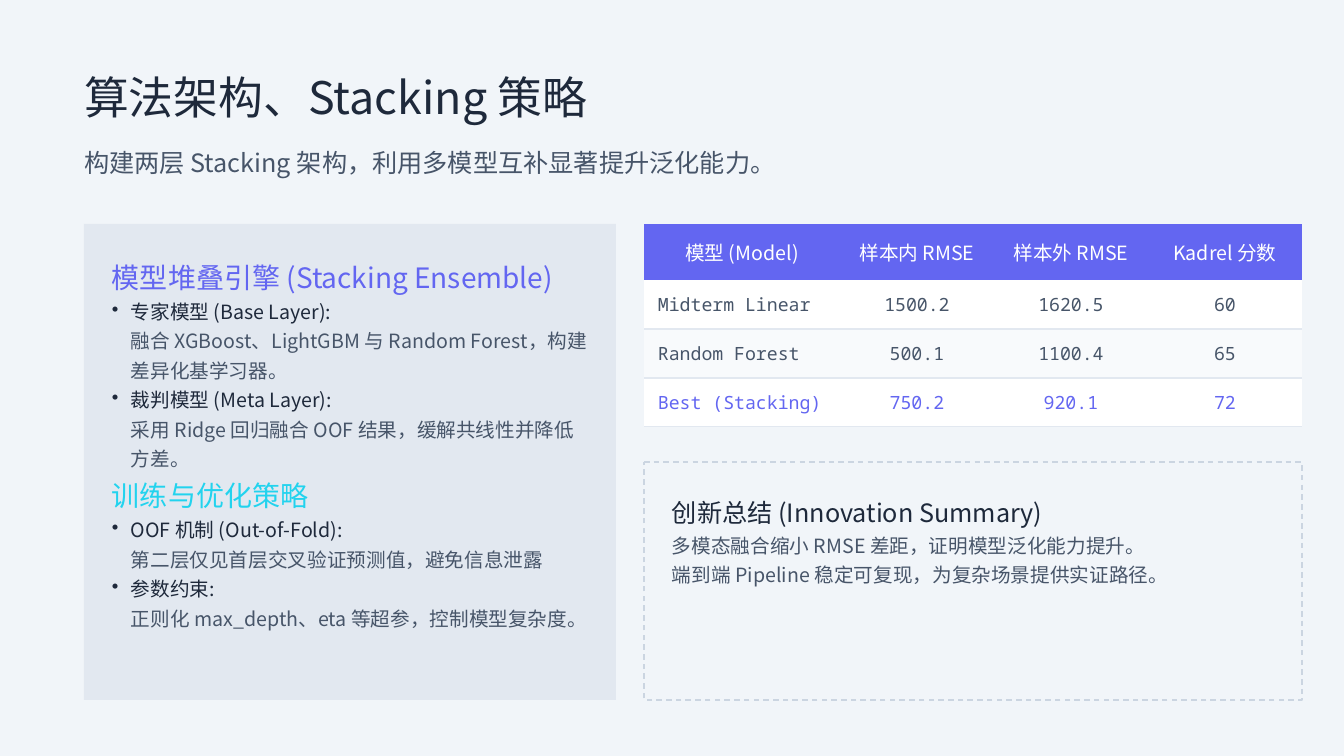
from lxml.etree import SubElement as Sub
from pptx import Presentation
from pptx.dml.color import RGBColor as Rgb
from pptx.enum.dml import MSO_LINE as Dash
from pptx.enum.shapes import MSO_SHAPE as Kind
from pptx.enum.text import MSO_ANCHOR as Anchor, PP_ALIGN as Align
from pptx.oxml import parse_xml
from pptx.oxml.ns import nsdecls, qn
from pptx.util import Pt

SANS, MONO = "Noto Sans CJK SC", "Noto Sans Mono"
HUES = {
    "page": "F1F5F9", "ink": "1E293B", "body": "475569", "panel": "E2E8F0",
    "accent": "6366F1", "cyan": "22D3EE", "dash": "CBD5E1",
    "white": "FFFFFF", "band": "F8FAFC",
}
TITLE = [("算法架构、Stacking 策略", 32, "ink")]
LEAD = [("构建两层 Stacking 架构，利用多模型互补显著提升泛化能力。", 18, "body")]
ENGINE = [
    ("模型堆叠引擎 (Stacking Ensemble)", 20, "accent"),
    ("专家模型 (Base Layer):", "融合 XGBoost、LightGBM 与 Random Forest，构建差异化基学习器。"),
    ("裁判模型 (Meta Layer):", "采用 Ridge 回归融合 OOF 结果，缓解共线性并降低方差。"),
    ("训练与优化策略", 20, "cyan"),
    ("OOF 机制 (Out-of-Fold):", "第二层仅见首层交叉验证预测值，避免信息泄露"),
    ("参数约束:", "正则化 max_depth、eta 等超参，控制模型复杂度。"),
]
SUMMARY = [
    ("创新总结 (Innovation Summary)", 18, "ink"),
    ("多模态融合缩小 RMSE 差距，证明模型泛化能力提升。", 14, "body"),
    ("端到端 Pipeline 稳定可复现，为复杂场景提供实证路径。", 14, "body"),
]
SCORES = [
    ("模型 (Model)", "样本内 RMSE", "样本外 RMSE", "Kadrel 分数"),
    ("Midterm Linear", "1500.2", "1620.5", "60"),
    ("Random Forest", "500.1", "1100.4", "65"),
    ("Best (Stacking)", "750.2", "920.1", "72"),
]
LOOKS = [
    ("accent", "white", 14, SANS),
    ("white", "body", 13, MONO),
    ("band", "body", 13, MONO),
    ("white", "accent", 13, MONO),
]
COLS, ROWS = (140, 110, 110, 110), (40, 35, 35, 35)
LEFT, TOP, WIDE, END = 60, 160, 380, 500
RIGHT, SPAN, LOW = 460, sum(COLS), 330
PAD, HANG = 20, 13.5


def hue(name):
    return Rgb.from_string(HUES[name])


def style(para, size, face, color=None):
    para.font.size = Pt(size)
    para.font.name = face
    if color:
        para.font.color.rgb = hue(color)
    props = para._p.pPr.find(qn("a:defRPr"))
    Sub(props, qn("a:ea"), typeface=face)


def bullet(para):
    props = para._p.get_or_add_pPr()
    props.set("marL", str(Pt(HANG)))
    props.set("indent", str(-Pt(HANG)))
    tint = Sub(props, qn("a:buClr"))
    Sub(tint, qn("a:srgbClr"), val=HUES["ink"])
    Sub(props, qn("a:buChar"), char="•")


def write(slide, box, lines):
    frame = slide.shapes.add_textbox(*map(Pt, box)).text_frame
    frame.word_wrap = True
    frame.margin_left = frame.margin_right = 0
    frame.margin_top = frame.margin_bottom = 0
    for i, line in enumerate(lines):
        para = frame.add_paragraph() if i else frame.paragraphs[0]
        para.line_spacing = 1.25
        if len(line) == 3:
            text, size, color = line
            para.add_run().text = text
            style(para, size, SANS, color)
            continue
        bullet(para)
        style(para, 14, SANS)
        for j, (text, color) in enumerate(zip(line, ("ink", "body"))):
            if j:
                para.add_line_break()
            run = para.add_run()
            run.text = text
            run.font.color.rgb = hue(color)


def panel(slide, box, fill, edge=None):
    shape = slide.shapes.add_shape(Kind.ROUNDED_RECTANGLE, *map(Pt, box))
    shape.adjustments[0] = 0
    shape.shadow.inherit = False
    shape.fill.solid()
    shape.fill.fore_color.rgb = hue(fill)
    if edge:
        shape.line.color.rgb = hue(edge)
        shape.line.width = Pt(1)
        shape.line.dash_style = Dash.DASH
    else:
        shape.line.fill.background()


def inset(box):
    x, y, w, h = box
    return x + PAD, y + PAD, w - 2 * PAD, h - 2 * PAD


def rule(cell):
    line = parse_xml(
        f'<a:lnB {nsdecls("a")} w="{Pt(1)}"><a:solidFill>'
        f'<a:srgbClr val="{HUES["panel"]}"/></a:solidFill></a:lnB>')
    cell._tc.get_or_add_tcPr().insert(0, line)


def grid(slide):
    box = RIGHT, TOP, SPAN, sum(ROWS)
    table = slide.shapes.add_table(len(ROWS), len(COLS), *map(Pt, box)).table
    table.first_row = table.horz_banding = False
    plain = table._tbl.tblPr.find(qn("a:tableStyleId"))
    plain.text = "{2D5ABB26-0587-4C30-8999-92F81FD0307C}"
    for col, wide in zip(table.columns, COLS):
        col.width = Pt(wide)
    for r, (row, look) in enumerate(zip(SCORES, LOOKS)):
        fill, color, size, face = look
        table.rows[r].height = Pt(ROWS[r])
        for c, text in enumerate(row):
            cell = table.cell(r, c)
            name = r > 0 and c == 0
            cell.text = text
            cell.vertical_anchor = Anchor.MIDDLE
            cell.margin_left = Pt(10 if name else 8)
            cell.margin_right = cell.margin_top = cell.margin_bottom = Pt(8)
            cell.fill.solid()
            cell.fill.fore_color.rgb = hue(fill)
            para = cell.text_frame.paragraphs[0]
            para.alignment = Align.LEFT if name else Align.CENTER
            style(para, size, face, color)
            if r:
                rule(cell)


def main():
    deck = Presentation()
    deck.slide_width, deck.slide_height = Pt(960), Pt(540)
    slide = deck.slides.add_slide(deck.slide_layouts[6])
    slide.background.fill.solid()
    slide.background.fill.fore_color.rgb = hue("page")
    write(slide, (LEFT, 40, 840, 50), TITLE)
    write(slide, (LEFT, 100, 840, 40), LEAD)
    engine = LEFT, TOP, WIDE, END - TOP
    panel(slide, engine, "panel")
    write(slide, inset(engine), ENGINE)
    grid(slide)
    summary = RIGHT, LOW, SPAN, END - LOW
    panel(slide, summary, "page", "dash")
    write(slide, inset(summary), SUMMARY)
    deck.save("out.pptx")


if __name__ == "__main__":
    main()
